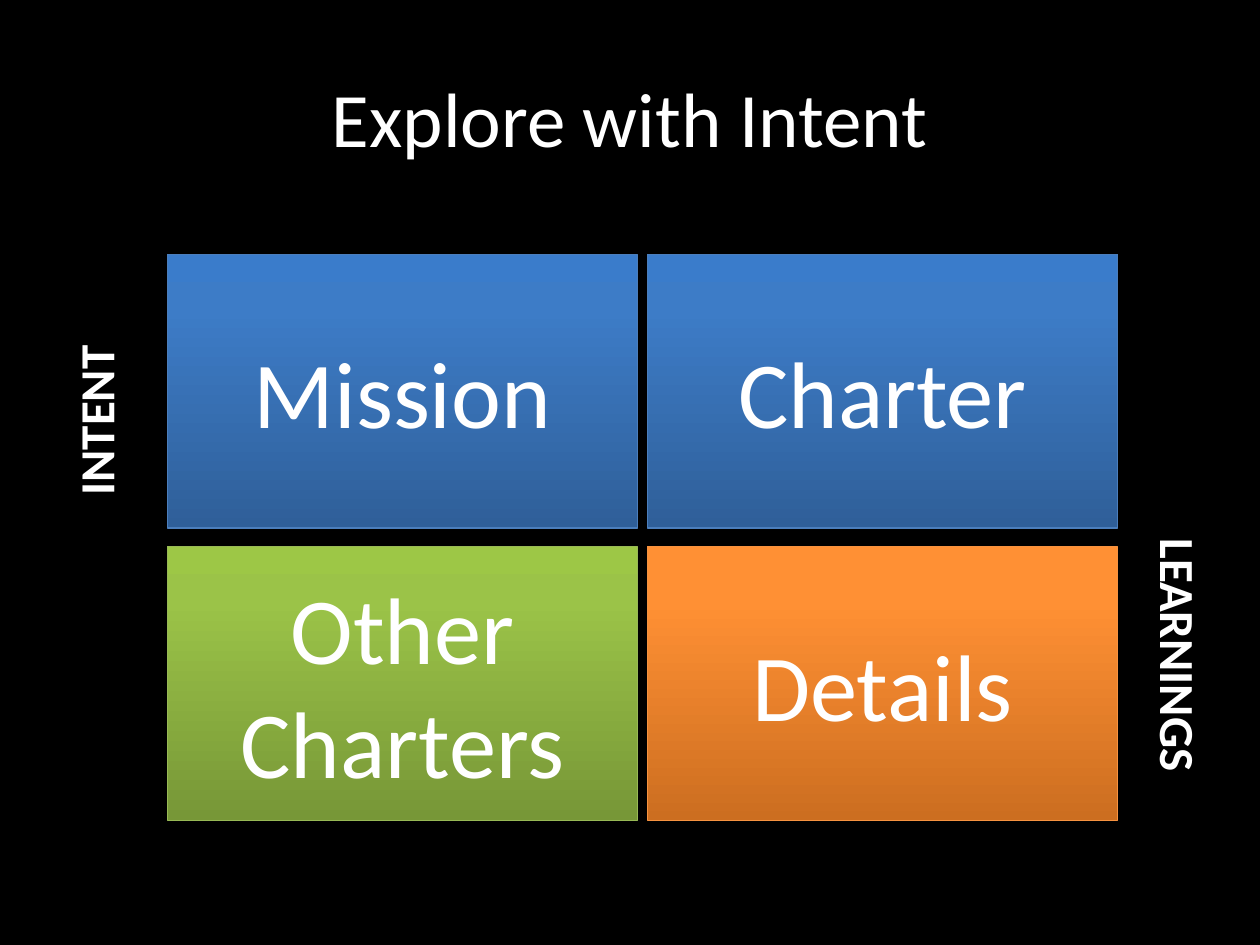
from copy import deepcopy

from pptx import Presentation
from pptx.dml.color import RGBColor
from pptx.enum.shapes import MSO_SHAPE
from pptx.enum.text import MSO_ANCHOR, MSO_AUTO_SIZE, PP_ALIGN
from pptx.oxml.ns import qn
from pptx.util import Inches, Pt

WIDTH, HEIGHT = 10, 7.5
GRID_LEFT, GRID_TOP = 1.33, 2.02
CARD_WIDTH, CARD_HEIGHT = 3.73, 2.17
COLUMN_STEP, ROW_STEP = 3.81, 2.32

# Gradient from bottom to top, then the outline
BLUE = (("2F5F99", "3D7CC7", "3A7CCB"), "4B7EBC")
GREEN = (("779737", "9BC348", "9DC746"), "98B955")
ORANGE = (("CC6E20", "FF9034", "FF9136"), "F69240")
STOP_POSITIONS = (0, 0.8, 1)

CARDS = (
    (("Mission", BLUE), ("Charter", BLUE)),
    (("Other Charters", GREEN), ("Details", ORANGE)),
)


def color(value):
    return RGBColor.from_string(value)


def write(shape, text, size, align=PP_ALIGN.CENTER, bold=False):
    frame = shape.text_frame
    frame.text = text
    frame.word_wrap = True
    frame.vertical_anchor = MSO_ANCHOR.MIDDLE
    para = frame.paragraphs[0]
    para.alignment = align
    font = para.runs[0].font
    font.name = "Calibri"
    font.size = Pt(size)
    font.bold = bold
    font.color.rgb = color("FFFFFF")


def fill_gradient(shape, colors):
    """Fill with three stops that run from the bottom edge to the top."""
    fill = shape.fill
    fill.gradient()
    fill.gradient_angle = 90
    first_stop = shape._element.spPr.find(".//" + qn("a:gs"))
    first_stop.addnext(deepcopy(first_stop))
    for stop, position, value in zip(fill.gradient_stops, STOP_POSITIONS, colors):
        stop.position = position
        stop.color.rgb = color(value)


def add_title(page, text):
    box = page.shapes.add_textbox(
        Inches(WIDTH * 0.05), Inches(HEIGHT * 0.04),
        Inches(WIDTH * 0.9), Inches(1.25),
    )
    write(box, text, 44)


def add_card(page, column, row, text, palette):
    colors, outline = palette
    card = page.shapes.add_shape(
        MSO_SHAPE.RECTANGLE,
        Inches(GRID_LEFT + column * COLUMN_STEP), Inches(GRID_TOP + row * ROW_STEP),
        Inches(CARD_WIDTH), Inches(CARD_HEIGHT),
    )
    card.shadow.inherit = False
    fill_gradient(card, colors)
    card.line.color.rgb = color(outline)
    card.line.width = Pt(0.75)
    write(card, text, 54)


def add_side_label(page, text, left, top, width, rotation):
    box = page.shapes.add_textbox(
        Inches(left), Inches(top), Inches(width), Inches(0.57)
    )
    box.rotation = rotation
    write(box, text, 28, PP_ALIGN.LEFT, bold=True)
    frame = box.text_frame
    frame.vertical_anchor = MSO_ANCHOR.TOP
    frame.word_wrap = False
    frame.auto_size = MSO_AUTO_SIZE.SHAPE_TO_FIT_TEXT


def main():
    deck = Presentation()
    deck.slide_width, deck.slide_height = Inches(WIDTH), Inches(HEIGHT)
    page = deck.slides.add_slide(deck.slide_layouts[6])
    page.background.fill.solid()
    page.background.fill.fore_color.rgb = color("000000")

    add_title(page, "Explore with Intent")
    for row, cards in enumerate(CARDS):
        for column, (text, palette) in enumerate(cards):
            add_card(page, column, row, text, palette)
    add_side_label(page, "INTENT", -0.15, 2.84, 1.81, 270)
    add_side_label(page, "LEARNINGS", 8.05, 5.2, 2.62, 90)
    deck.save("out.pptx")


if __name__ == "__main__":
    main()
